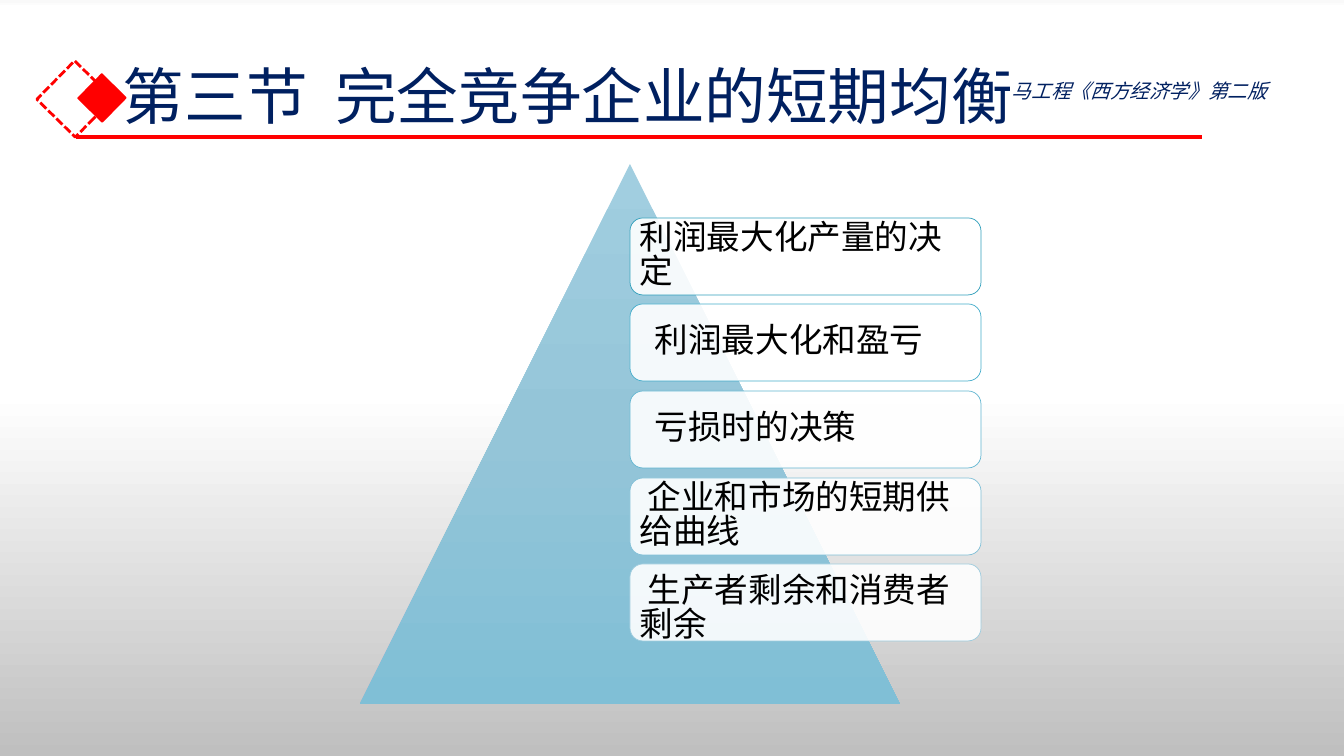
"""Build the section slide on short-run equilibrium of a competitive firm."""
import dataclasses
from typing import Any

import lxml.etree
import pptx
import pptx.dml.color
import pptx.enum.dml
import pptx.enum.shapes
import pptx.enum.text
import pptx.oxml.ns
import pptx.util

FONT = "Noto Sans CJK SC"
SCALE = 914400 / 100.8
HUES = {"navy": "002060", "red": "FF0000", "black": "000000", "white": "FFFFFF"}
KIND = pptx.enum.shapes.MSO_SHAPE
MID = pptx.enum.text.MSO_ANCHOR.MIDDLE
qn = pptx.oxml.ns.qn


@dataclasses.dataclass
class Topic:
    text: str
    edge: str
    indent: int = 0
    drop: int = 0


@dataclasses.dataclass
class Mark:
    left: int
    top: int
    side: int
    fill: str
    line: dict[str, Any]


TOPICS = [
    Topic("利润最大化产量的决定", "319FBB"),
    Topic("利润最大化和盈亏", "45ADCB", 15),
    Topic("亏损时的决策", "63B6D1", 15),
    Topic("企业和市场的短期供给曲线", "81C0D7", 8),
    Topic("生产者剩余和消费者剩余", "9ECCDE", 8, 14),
]
MARKS = [
    Mark(48, 72, 54, "", {"width": pptx.util.Pt(2),
                          "dash_style": pptx.enum.dml.MSO_LINE.SQUARE_DOT}),
    Mark(85, 81, 34, "red", {"width": pptx.util.Pt(1)}),
]
BACK = [(0, "F9F9F9"), (1, "FFFFFF"), (52, "FFFFFF"), (100, "BFBFBF")]
PEAK = [(0, "A1CEE0"), (50, "94C5D8"), (100, "80BFD6")]


def px(num: int) -> int:
    """Turn px into EMU."""
    return pptx.util.Emu(round(num * SCALE))


def rgb(code: str) -> pptx.dml.color.RGBColor:
    """Give the colour of a hue name or a hex string."""
    return pptx.dml.color.RGBColor.from_string(HUES.get(code, code))


def apply(item: Any, form: dict[str, Any]) -> None:
    """Set each format value on an item."""
    for key, val in form.items():
        setattr(item, key, val)


def blend(fill: Any, root: Any, stops: list[tuple[int, str]]) -> None:
    """Fill from top to bottom through the stops."""
    fill.gradient()
    fill.gradient_angle = 270
    bag = next(root.iter(qn("a:gsLst")))
    for old in list(bag):
        bag.remove(old)
    for pos, code in stops:
        stop = lxml.etree.SubElement(bag, qn("a:gs"), pos=str(pos * 1000))
        lxml.etree.SubElement(stop, qn("a:srgbClr"), val=code)


def write(shape: Any, text: str, size: int, hue: str, frame: dict[str, Any],
          para: dict[str, Any], face: dict[str, Any]) -> Any:
    """Put one styled paragraph in a shape."""
    body = shape.text_frame
    apply(body, {"word_wrap": True, "vertical_anchor": MID} | frame)
    line = body.paragraphs[0]
    apply(line, {"alignment": pptx.enum.text.PP_ALIGN.LEFT} | para)
    run = line.add_run()
    run.text = text
    apply(run.font, {"name": FONT, "size": pptx.util.Pt(size)} | face)
    run.font.color.rgb = rgb(hue)
    lxml.etree.SubElement(run.font._element, qn("a:ea"), typeface=FONT)
    return line


def label(slide: Any, box: tuple[int, int, int, int], text: str, size: int,
          para: dict[str, Any], face: dict[str, Any]) -> None:
    """Add a navy text box."""
    shape = slide.shapes.add_textbox(*map(px, box))
    write(shape, text, size, "navy", {}, para, face)


def card(slide: Any, topic: Topic, top: int) -> None:
    """Add one topic card."""
    shape = slide.shapes.add_shape(KIND.ROUNDED_RECTANGLE,
                                   *map(px, (630, top, 351, 77)))
    shape.shadow.inherit = False
    shape.fill.solid()
    shape.fill.fore_color.rgb = rgb("white")
    tint = next(shape.element.spPr.iter(qn("a:srgbClr")))
    lxml.etree.SubElement(tint, qn("a:alpha"), val="90000")
    shape.line.color.rgb = rgb(topic.edge)
    shape.line.width = pptx.util.Pt(0.5)
    pad = {f"margin_{side}": px(6) for side in ("left", "right", "bottom")}
    pad["margin_top"] = px(6 + topic.drop)
    line = write(shape, topic.text, 24, "black", pad, {"line_spacing": 0.83}, {})
    line._p.get_or_add_pPr().set("indent", str(px(topic.indent)))


def gem(slide: Any, mark: Mark) -> None:
    """Add one red diamond."""
    box = (mark.left, mark.top, mark.side, mark.side)
    shape = slide.shapes.add_shape(KIND.RECTANGLE, *map(px, box))
    shape.shadow.inherit = False
    shape.rotation = 314.5
    if mark.fill:
        shape.fill.solid()
        shape.fill.fore_color.rgb = rgb(mark.fill)
    else:
        shape.fill.background()
    shape.line.color.rgb = rgb("red")
    apply(shape.line, mark.line)


def main() -> None:
    """Draw and save the slide."""
    deck = pptx.Presentation()
    apply(deck, {"slide_width": px(1344), "slide_height": px(756)})
    slide = deck.slides.add_slide(deck.slide_layouts[6])
    blend(slide.background.fill, slide.element, BACK)
    label(slide, (113, 27, 1139, 146), "第三节  完全竞争企业的短期均衡", 44,
          {"line_spacing": 0.9}, {})
    peak = slide.shapes.add_shape(KIND.ISOSCELES_TRIANGLE,
                                  *map(px, (360, 164, 540, 540)))
    peak.shadow.inherit = False
    blend(peak.fill, peak.element, PEAK)
    peak.line.fill.background()
    for row, topic in enumerate(TOPICS):
        card(slide, topic, 218 + round(row * 86.5))
    for mark in MARKS:
        gem(slide, mark)
    rule = slide.shapes.add_connector(pptx.enum.shapes.MSO_CONNECTOR.STRAIGHT,
                                      *map(px, (76, 137, 1202, 137)))
    rule.line.color.rgb = rgb("red")
    rule.line.width = pptx.util.Pt(2.25)
    lxml.etree.SubElement(rule.element.spPr, qn("a:effectLst"))
    label(slide, (1002, 74, 327, 34), "马工程《西方经济学》第二版", 14,
          {}, {"italic": True})
    deck.save("out.pptx")


if __name__ == "__main__":
    main()
